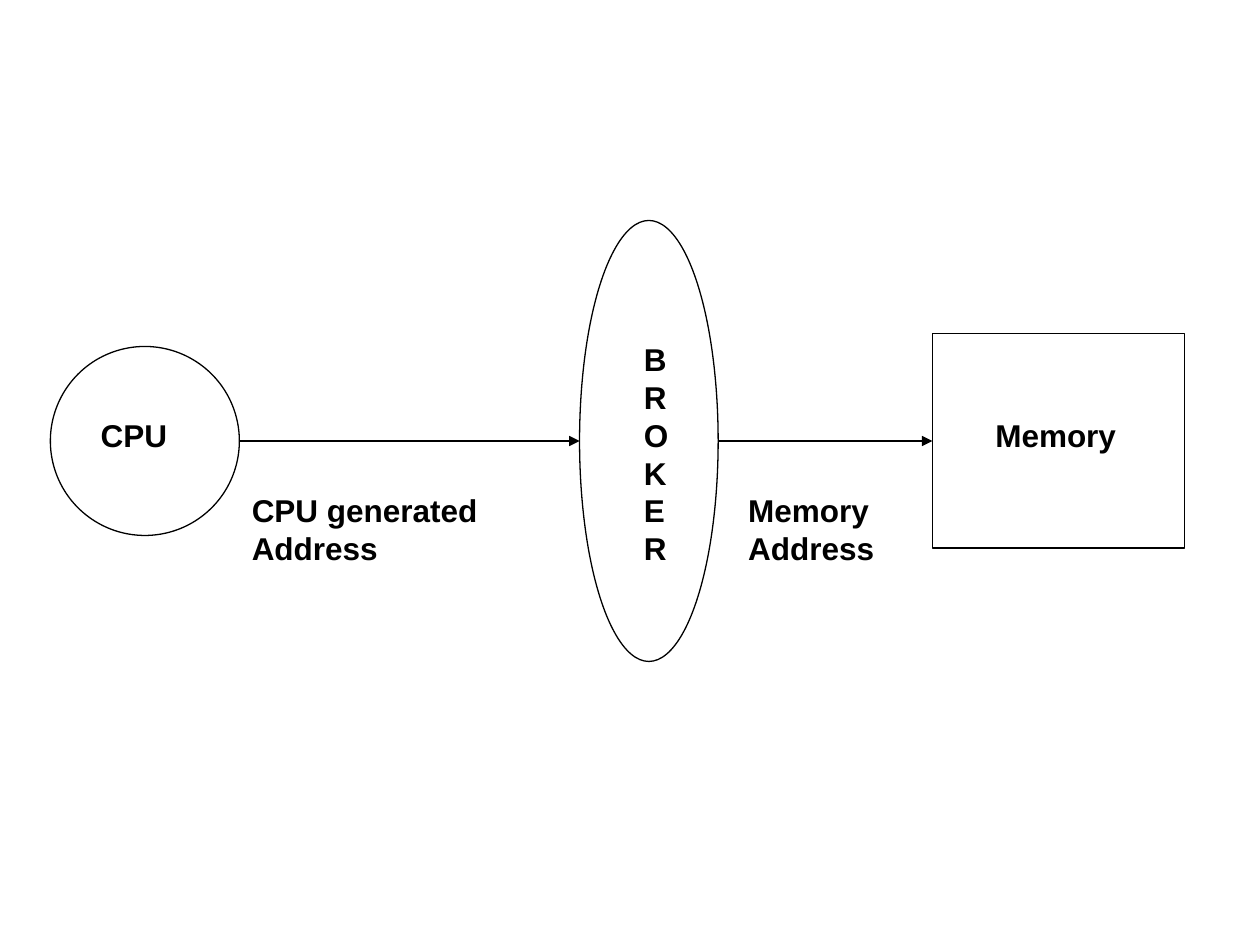
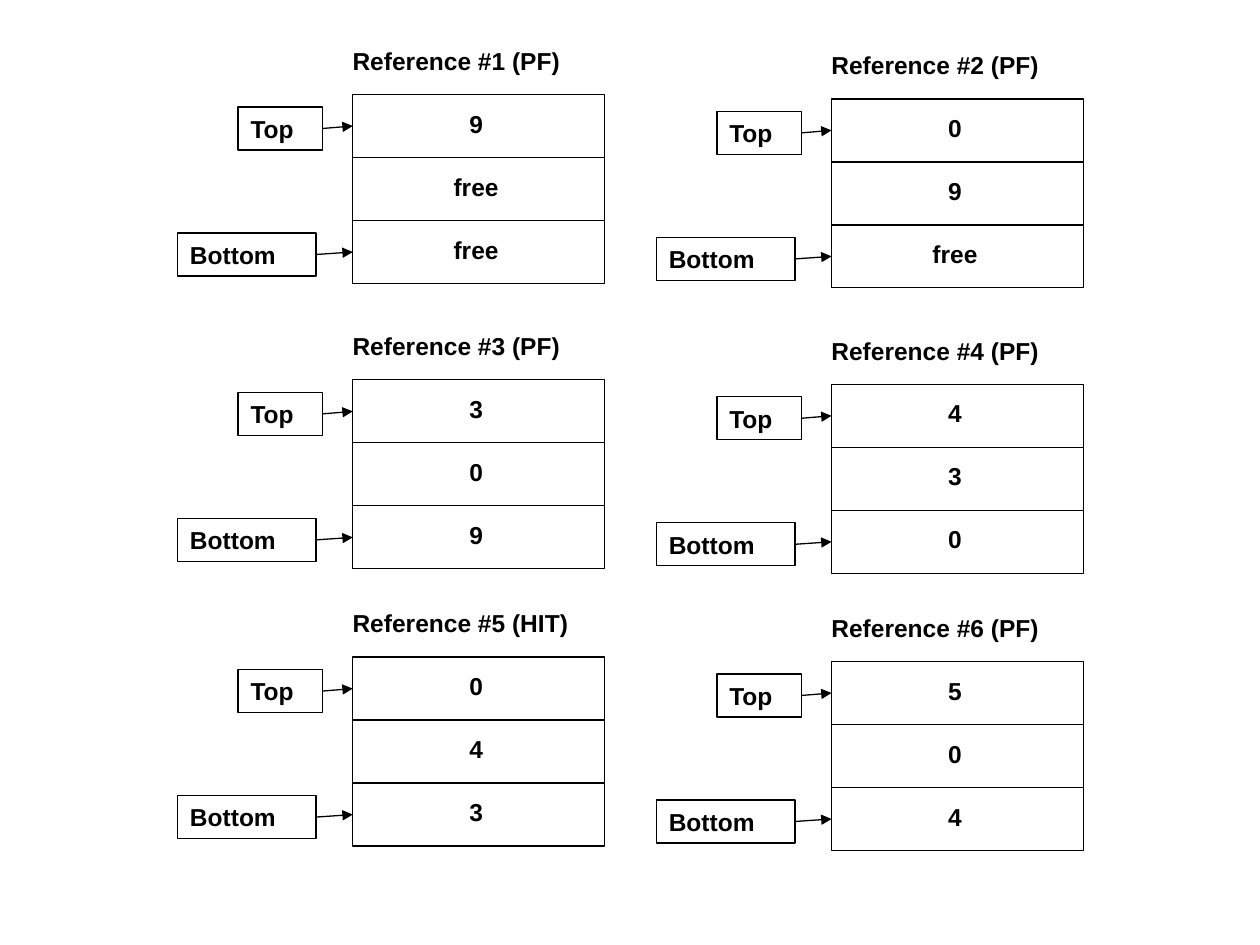
from dataclasses import dataclass

import lxml.etree
import pptx
import pptx.dml.color
import pptx.enum.shapes
import pptx.enum.text
import pptx.oxml.ns
import pptx.util

SHAPES = pptx.enum.shapes.MSO_SHAPE
ALIGN = pptx.enum.text.PP_ALIGN
ANCHOR = pptx.enum.text.MSO_ANCHOR
COLUMNS, ROWS = 100, 75
SLIDE_WIDTH, SLIDE_HEIGHT = pptx.util.Inches(10), pptx.util.Inches(7.5)


@dataclass(frozen=True)
class Theme:
    font: str = "Arial"
    ink: pptx.dml.color.RGBColor = pptx.dml.color.RGBColor(0, 0, 0)
    line: float = 0.75
    diagram_size: int = 18
    stack_size: int = 14


@dataclass(frozen=True)
class Box:
    left: float
    top: float
    width: float
    height: float

    def inner(self, left, top, width, height):
        return Box(self.left + left, self.top + top, width, height)

    def emu(self):
        return (across(self.left), down(self.top),
                across(self.width), down(self.height))


THEME = Theme()


def across(columns):
    return round(SLIDE_WIDTH * columns / COLUMNS)


def down(rows):
    return round(SLIDE_HEIGHT * rows / ROWS)


def write(shape, text, size, align=ALIGN.LEFT, anchor=ANCHOR.MIDDLE,
          margins=(1, 0.5, 1, 0.5)):
    frame = shape.text_frame
    frame.text = text
    frame.word_wrap = True
    frame.vertical_anchor = anchor
    frame.margin_left, frame.margin_right = across(margins[0]), across(margins[2])
    frame.margin_top, frame.margin_bottom = down(margins[1]), down(margins[3])
    for paragraph in frame.paragraphs:
        paragraph.alignment = align
        for run in paragraph.runs:
            run.font.name = THEME.font
            run.font.size = pptx.util.Pt(size)
            run.font.bold = True
            run.font.color.rgb = THEME.ink


def add_caption(slide, box, text, size):
    caption = slide.shapes.add_textbox(*box.emu())
    write(caption, text, size, anchor=ANCHOR.TOP)


def add_outline(slide, kind, box, text, size, **text_format):
    shape = slide.shapes.add_shape(kind, *box.emu())
    shape.shadow.inherit = False
    shape.fill.background()
    shape.line.color.rgb = THEME.ink
    shape.line.width = pptx.util.Pt(THEME.line)
    write(shape, text, size, **text_format)
    return shape


def add_arrow(slide, start, target):
    arrow = slide.shapes.add_connector(
        pptx.enum.shapes.MSO_CONNECTOR.STRAIGHT,
        start.left + start.width, start.top + start.height // 2,
        target.left, target.top + target.height // 2)
    if start.auto_shape_type == SHAPES.RECTANGLE:
        arrow.begin_connect(start, 3)
    if target.auto_shape_type == SHAPES.RECTANGLE:
        arrow.end_connect(target, 1)
    arrow.line.color.rgb = THEME.ink
    arrow.line.width = pptx.util.Pt(THEME.line)
    qualified = pptx.oxml.ns.qn
    properties = arrow._element.spPr
    lxml.etree.SubElement(properties.find(qualified("a:ln")),
                          qualified("a:tailEnd"), type="triangle")
    lxml.etree.SubElement(properties, qualified("a:effectLst"))


def add_broker_diagram(slide, box):
    size = THEME.diagram_size
    cpu = add_outline(slide, SHAPES.OVAL, box.inner(0, 10, 15, 15), "CPU", size,
                      margins=(1.8, 0, 0, 1))
    broker = add_outline(slide, SHAPES.OVAL, box.inner(42, 0, 11, 35),
                         "\n".join("BROKER"), size, margins=(3.5, 2, 0, 0))
    memory = add_outline(slide, SHAPES.RECTANGLE, box.inner(70, 9, 20, 17),
                         "Memory", size, margins=(5, 0, 0, 1))
    add_arrow(slide, cpu, broker)
    add_arrow(slide, broker, memory)
    add_caption(slide, box.inner(15, 21, 22, 7), "CPU generated\nAddress", size)
    add_caption(slide, box.inner(54.4, 21, 13.6, 7), "Memory\nAddress", size)


def add_stack(slide, box, heading, values):
    size = THEME.stack_size
    cell_left, cell_top, cell_width, cell_height = 13.9, 4.35, 20, 5
    add_caption(slide, box.inner(cell_left - 1, 0, 20.6, 3.4), heading, size)
    cells = [
        add_outline(slide, SHAPES.RECTANGLE,
                    box.inner(cell_left, cell_top + index * cell_height,
                              cell_width, cell_height),
                    value, size, align=ALIGN.CENTER, margins=(1, 0.5, 1.4, 0.9))
        for index, value in enumerate(values)]
    for label, left, width, cell_index in (("Top", 4.8, 6.7, 0),
                                           ("Bottom", 0, 11, 2)):
        label_top = cell_top + 1 + cell_index * cell_height
        pointer = add_outline(slide, SHAPES.RECTANGLE,
                              box.inner(left, label_top, width, 3.4), label, size)
        add_arrow(slide, pointer, cells[cell_index])


def add_reference_grid(slide, box):
    references = (
        ("PF", ("9", "free", "free")), ("PF", ("0", "9", "free")),
        ("PF", ("3", "0", "9")), ("PF", ("4", "3", "0")),
        ("HIT", ("0", "4", "3")), ("PF", ("5", "0", "4")))
    row_tops = (0, 22.65, 44.65)
    column_step, column_drop = 38, 0.35
    for index, (outcome, values) in enumerate(references):
        row, column = divmod(index, 2)
        stack = box.inner(column * column_step,
                          row_tops[row] + column * column_drop, 34, 19.4)
        add_stack(slide, stack, f"Reference #{index + 1} ({outcome})", values)


def main():
    presentation = pptx.Presentation()
    presentation.slide_width = SLIDE_WIDTH
    presentation.slide_height = SLIDE_HEIGHT
    blank = presentation.slide_layouts[6]
    add_broker_diagram(presentation.slides.add_slide(blank), Box(4, 17.5, 90, 35))
    add_reference_grid(presentation.slides.add_slide(blank), Box(14.1, 3.15, 72, 65))
    presentation.save("out.pptx")


if __name__ == "__main__":
    main()
